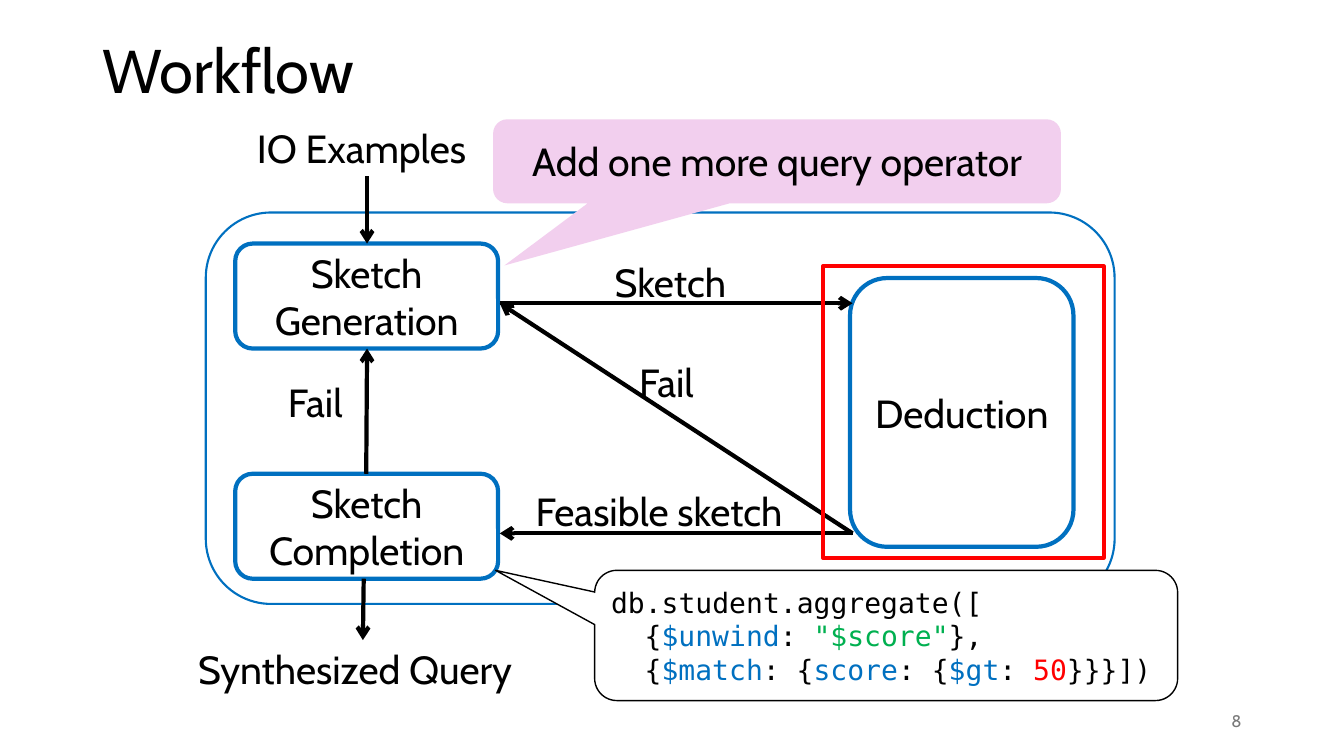
from dataclasses import dataclass
from typing import Optional

from lxml.etree import SubElement
from pptx import Presentation
from pptx.dml.color import RGBColor as RGB
from pptx.enum.shapes import MSO_CONNECTOR as CONN, MSO_SHAPE as SHAPE
from pptx.enum.text import MSO_ANCHOR as ANCHOR, MSO_AUTO_SIZE as AUTO, PP_ALIGN as ALIGN
from pptx.oxml.ns import qn
from pptx.util import Inches, Pt

# Grid: 160 columns by 90 rows of square cells
COLS, ROWS = 160, 90
CELL = Inches(7.5) / ROWS

COLORS = {
    "black": "000000", "white": "FFFFFF", "blue": "0070C0", "red": "FF0000",
    "green": "00B050", "pink": "F2CFEE", "gray": "797979",
}
SANS, MONO = "Cabin", "DejaVu Sans Mono"


@dataclass
class Box:
    col: float
    row: float
    cols: float
    rows: float
    text: str = ""
    kind: SHAPE = SHAPE.ROUNDED_RECTANGLE
    fill: Optional[str] = None
    line: Optional[str] = "blue"
    weight: float = 3
    adj: tuple[float, ...] = ()


@dataclass
class Label:
    text: str
    col: float
    row: float
    cols: float


@dataclass
class Arrow:
    start: tuple[float, float]
    end: tuple[float, float]


# Shared positions
STEP_COL, STEP_COLS, STEP_ROWS = 28, 31.3, 12.5
GEN_ROW, DONE_ROW = 29, 56.4
GEN_PORT, DONE_PORT = (59.5, 36.1), (59.5, 63.5)
DEDUCE_TOP, DEDUCE_BOTTOM = (101.5, 36.1), (101.5, 63.5)

FRAME = Box(24.5, 25.3, 108.2, 46.6, weight=1.5)
STEPS = [
    Box(STEP_COL, GEN_ROW, STEP_COLS, STEP_ROWS, "Sketch Generation", fill="white"),
    Box(STEP_COL, DONE_ROW, STEP_COLS, STEP_ROWS, "Sketch Completion", fill="white"),
]
DEDUCTION = Box(101.2, 33.1, 26.6, 32, "Deduction", fill="white")
HIGHLIGHT = Box(98, 31.7, 33.4, 34.7, kind=SHAPE.RECTANGLE, line="red")
CODE_NOTE = Box(70.8, 67.9, 69.4, 15.5, kind=SHAPE.ROUNDED_RECTANGULAR_CALLOUT,
                fill="white", line="black", weight=1, adj=(-0.67, -0.5, 0.17))
HINT = Box(58.7, 14.2, 67.6, 10, "Add one more query operator",
           kind=SHAPE.ROUNDED_RECTANGULAR_CALLOUT, fill="pink", line=None,
           adj=(-0.48, 1.24, 0.17))
ARROWS = [
    Arrow(GEN_PORT, DEDUCE_TOP),
    Arrow(DEDUCE_BOTTOM, DONE_PORT),
    Arrow(DEDUCE_BOTTOM, GEN_PORT),
    Arrow((43.6, DONE_ROW), (43.7, GEN_ROW + STEP_ROWS)),
    Arrow((43.3, DONE_ROW + STEP_ROWS), (43.2, 76.2)),
    Arrow((43.7, 21), (43.7, GEN_ROW)),
]
LABELS = [
    Label("Sketch", 72, 30.1, 17),
    Label("Fail", 74.9, 42.1, 17),
    Label("Fail", 33.1, 44.5, 17),
    Label("Feasible sketch", 62.6, 57.4, 40.8),
    Label("IO Examples", 29.4, 14.2, 28.6),
    Label("Synthesized Query", 22.4, 76.2, 41.6),
]
# Code lines: indent in cells, then coloured pieces
CODE = [
    (0, [("db.student.aggregate([", "black")]),
    (4, [("{", "black"), ("$unwind", "blue"), (": ", "black"),
         ('"$score"', "green"), ("},", "black")]),
    (4, [("{", "black"), ("$match", "blue"), (": {", "black"), ("score", "blue"),
         (": {", "black"), ("$gt", "blue"), (": ", "black"), ("50", "red"),
         ("}}}])", "black")]),
]


def cells(*counts: float) -> list[int]:
    return [round(n * CELL) for n in counts]


def rgb(name: str) -> RGB:
    return RGB.from_string(COLORS[name])


def add_text(p, text: str, *, size: float = 28, font: str = SANS,
             color: str = "black", align: ALIGN = ALIGN.LEFT) -> None:
    p.alignment = align
    r = p.add_run()
    r.text = text
    r.font.size, r.font.name = Pt(size), font
    r.font.color.rgb = rgb(color)


def draw_box(slide, box: Box):
    sp = slide.shapes.add_shape(box.kind, *cells(box.col, box.row, box.cols, box.rows))
    sp.shadow.inherit = False
    for i, value in enumerate(box.adj):
        sp.adjustments[i] = value
    if box.fill:
        sp.fill.solid()
        sp.fill.fore_color.rgb = rgb(box.fill)
    else:
        sp.fill.background()
    if box.line:
        sp.line.color.rgb = rgb(box.line)
        sp.line.width = Pt(box.weight)
    else:
        sp.line.fill.background()
    tf = sp.text_frame
    tf.word_wrap, tf.vertical_anchor = True, ANCHOR.MIDDLE
    if box.text:
        add_text(tf.paragraphs[0], box.text, align=ALIGN.CENTER)
    return sp


def draw_label(slide, label: Label) -> None:
    sp = slide.shapes.add_textbox(*cells(label.col, label.row, label.cols, 6.8))
    sp.text_frame.word_wrap = True
    add_text(sp.text_frame.paragraphs[0], label.text)


def draw_arrow(slide, arrow: Arrow) -> None:
    cx = slide.shapes.add_connector(CONN.STRAIGHT, *cells(*arrow.start, *arrow.end))
    cx.line.color.rgb = rgb("black")
    cx.line.width = Pt(3)
    SubElement(cx.line._get_or_add_ln(), qn("a:tailEnd"), type="arrow")
    SubElement(cx._element.spPr, qn("a:effectLst"))


def draw_code(slide) -> None:
    tf = draw_box(slide, CODE_NOTE).text_frame
    for i, (indent, pieces) in enumerate(CODE):
        p = tf.add_paragraph() if i else tf.paragraphs[0]
        for text, color in pieces:
            add_text(p, text, size=20, font=MONO, color=color)
        pPr = p._p.get_or_add_pPr()
        pPr.set("marL", str(cells(indent)[0]))
        pPr.set("indent", "0")


def draw_title(slide) -> None:
    sp = slide.shapes.title
    sp.left, sp.top, sp.width, sp.height = cells(11, 0, 138, 17.4)
    tf = sp.text_frame
    tf.auto_size, tf.word_wrap, tf.vertical_anchor = AUTO.NONE, True, ANCHOR.MIDDLE
    tf.paragraphs[0].line_spacing = 0.9
    add_text(tf.paragraphs[0], "Workflow", size=44)


def draw_number(slide) -> None:
    sp = slide.shapes.add_textbox(*cells(113, 83.4, 36, 4.8))
    tf = sp.text_frame
    tf.word_wrap, tf.vertical_anchor = True, ANCHOR.MIDDLE
    add_text(tf.paragraphs[0], "8", size=12, color="gray", align=ALIGN.RIGHT)


def main() -> None:
    prs = Presentation()
    prs.slide_width, prs.slide_height = cells(COLS, ROWS)
    slide = prs.slides.add_slide(prs.slide_layouts[5])
    draw_title(slide)
    # Workflow frame and steps
    for box in (FRAME, *STEPS, DEDUCTION):
        draw_box(slide, box)
    # Flow between the steps
    for arrow in ARROWS:
        draw_arrow(slide, arrow)
    for label in LABELS:
        draw_label(slide, label)
    draw_number(slide)
    # Callouts and highlight
    draw_code(slide)
    draw_box(slide, HIGHLIGHT)
    draw_box(slide, HINT)
    prs.save("out.pptx")


if __name__ == "__main__":
    main()
